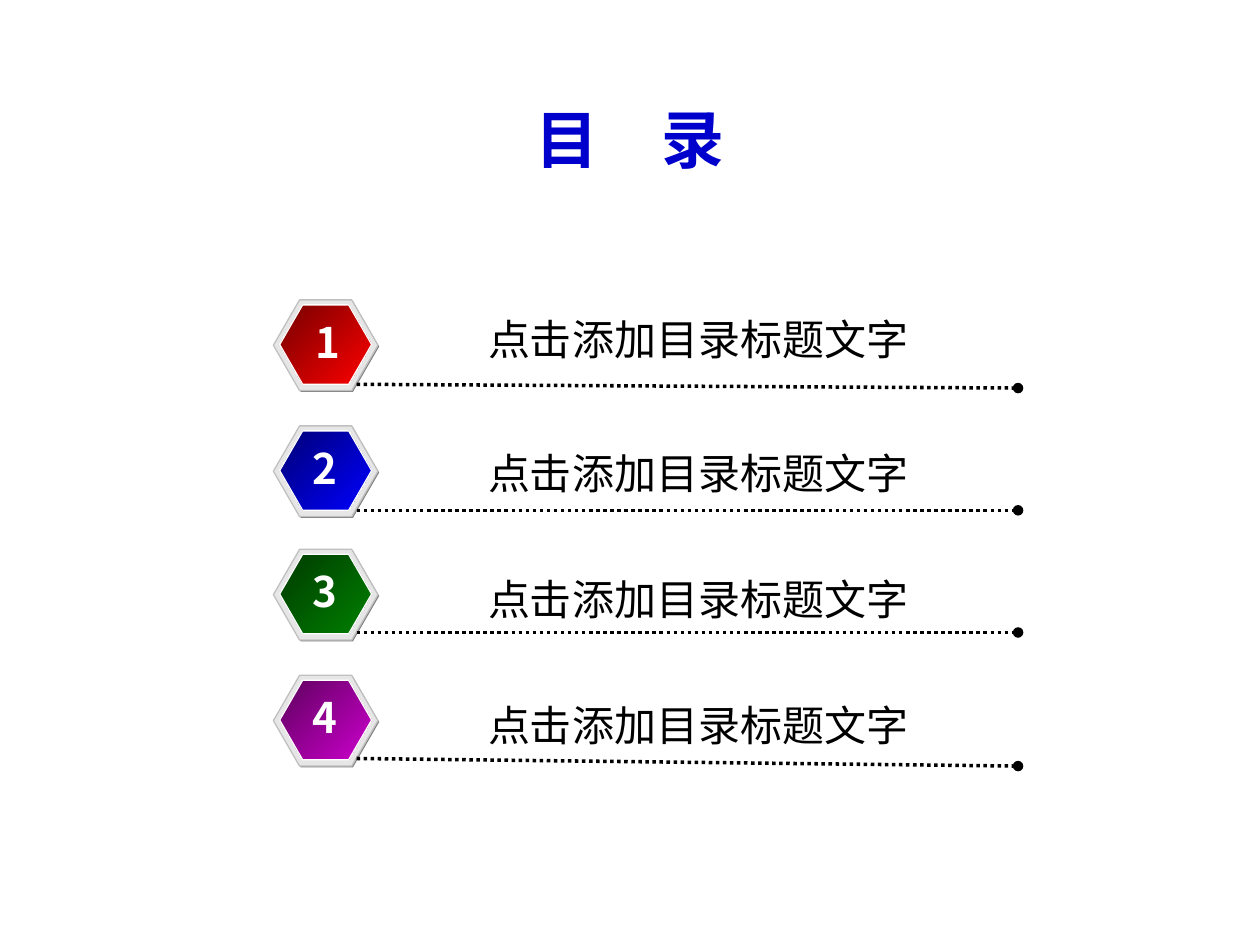
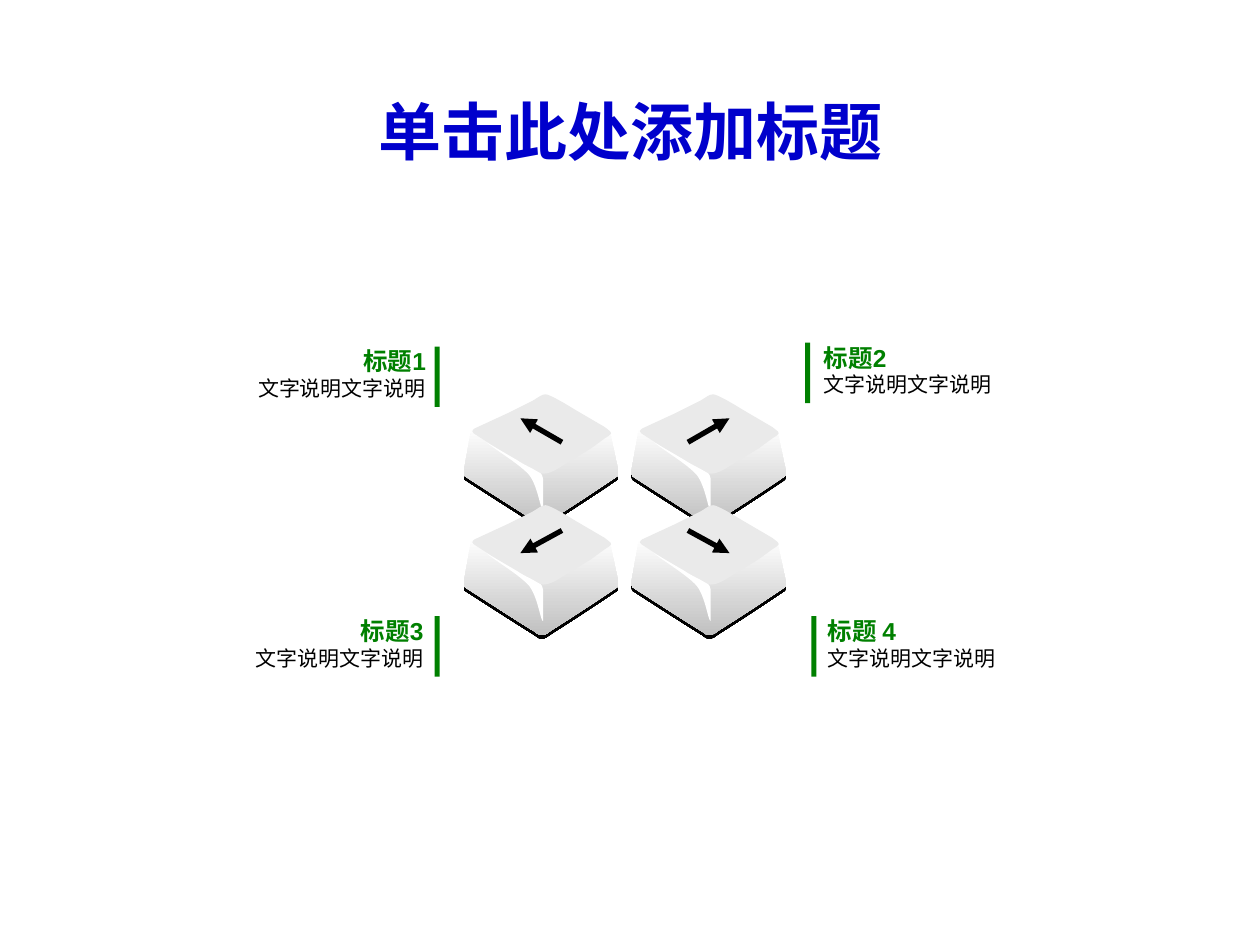
"""Builds a contents slide and a slide of four arrow keys."""
from dataclasses import dataclass
from itertools import product

from lxml.etree import SubElement
from pptx import Presentation
from pptx.dml.color import RGBColor
from pptx.enum.dml import MSO_LINE
from pptx.enum.shapes import MSO_CONNECTOR, MSO_SHAPE
from pptx.enum.text import MSO_ANCHOR, MSO_AUTO_SIZE, PP_ALIGN
from pptx.oxml.ns import qn
from pptx.util import Inches, Pt


@dataclass(frozen=True)
class Theme:
    latin: str = "Arial"
    hans: str = "Noto Sans CJK SC"
    title: str = "0000CC"
    ink: str = "000000"
    white: str = "FFFFFF"
    green: str = "008000"
    shade: str = "808080"
    rim: str = "E6E6E6"
    edge: str = "C0C0C0"
    cap: str = "EAEAEA"
    side: tuple = ("FDFDFD", "C0C0C0")
    head_size: int = 36
    item_size: int = 24
    label_size: int = 14
    note_size: int = 12


BODY = [(0.01, 0.65), (0.01, 0.65, 0.46, 0.94, 0.56, 1),
        (0.58, 1.01, 0.59, 1.03, 0.62, 1.03), (0.65, 1.03, 0.67, 1.01, 0.7, 0.99),
        (0.97, 0.82, 1.22, 0.65, 1.22, 0.65), (1.23, 0.62), (1.16, 0.29),
        (0.66, 0.61), (0.61, 0.6), (0.06, 0.28), (0, 0.62), (0.01, 0.65)]
CAP = [(0.65, 0), (0.62, 0, 0.6, 0.02, 0.55, 0.05), (0.35, 0.15), (0.09, 0.27),
       (0.09, 0.27, 0.05, 0.29, 0.08, 0.31), (0.31, 0.46, 0.38, 0.5, 0.47, 0.55),
       (0.56, 0.61, 0.58, 0.63, 0.63, 0.63), (0.65, 0.63, 0.67, 0.63, 0.73, 0.6),
       (1.01, 0.43), (1.12, 0.35), (1.15, 0.33, 1.17, 0.32, 1.17, 0.31),
       (1.17, 0.3, 1.17, 0.3, 1.12, 0.26), (0.88, 0.12), (0.8, 0.07, 0.68, 0, 0.65, 0)]
SHINE = [(0.18, 0.38), (0.42, 0.52), (0.48, 0.56, 0.55, 0.59, 0.58, 0.61),
         (0.61, 0.63, 0.62, 0.62, 0.63, 0.67), (0.63, 0.92),
         (0.61, 0.92, 0.59, 0.73, 0.52, 0.64), (0.44, 0.55, 0.25, 0.44, 0.18, 0.38)]


def rgb(code):
    return RGBColor.from_string(code)


def write(para, text, *, size, color, latin, hans, bold=False, align=PP_ALIGN.LEFT):
    para.alignment = align
    run = para.add_run()
    run.text = text
    font = run.font
    font.size, font.bold, font.name = Pt(size), bold, latin
    font.color.rgb = rgb(color)
    SubElement(run._r.get_or_add_rPr(), qn("a:ea")).set("typeface", hans)


def bend(shape, parts, left, top):
    nodes = list(shape._element.iter(qn("a:lnTo")))
    for node, part in zip(nodes, parts[1:]):
        if len(part) == 2:
            continue
        node.tag = qn("a:cubicBezTo")
        for spot in list(node):
            node.remove(spot)
        for x, y in zip(part[::2], part[1::2]):
            SubElement(node, qn("a:pt"), x=str(Inches(left + x) - shape.left),
                       y=str(Inches(top + y) - shape.top))


class Deck:
    def __init__(self, theme):
        self.theme = theme
        self.file = Presentation()
        self.file.slide_width, self.file.slide_height = Inches(10), Inches(7.5)
        self.slide = None

    def start(self, text, top):
        self.slide = self.file.slides.add_slide(self.file.slide_layouts[5])
        title = self.slide.shapes.title
        title.left, title.top = Inches(1.25), Inches(top)
        title.width, title.height = Inches(7.5), Inches(0.73)
        frame = title.text_frame
        frame.auto_size = MSO_AUTO_SIZE.NONE
        frame.vertical_anchor = MSO_ANCHOR.MIDDLE
        write(frame.paragraphs[0], text, size=self.theme.head_size,
              color=self.theme.title, latin=self.theme.latin,
              hans=self.theme.hans, bold=True, align=PP_ALIGN.CENTER)

    def paint(self, shape, fill, line=None, angle=0):
        shape.shadow.inherit = False
        if isinstance(fill, tuple):
            shape.fill.gradient()
            shape.fill.gradient_angle = 360 - angle
            for stop, color in zip(shape.fill.gradient_stops, fill):
                stop.color.rgb = rgb(color)
        else:
            shape.fill.solid()
            shape.fill.fore_color.rgb = rgb(fill)
        if line:
            shape.line.color.rgb = rgb(line)
            shape.line.width = Pt(0.75)
        else:
            shape.line.fill.background()
        return shape

    def shape(self, kind, box, fill, **look):
        shape = self.slide.shapes.add_shape(kind, *map(Inches, box))
        return self.paint(shape, fill, **look)

    def hexagon(self, box, fill, **look):
        shape = self.shape(MSO_SHAPE.HEXAGON, box, fill, **look)
        shape.adjustments[0], shape.adjustments[1] = 0.289, 1.155

    def outline(self, parts, left, top, fill, **look):
        spots = [(Inches(left + part[-2]), Inches(top + part[-1])) for part in parts]
        pen = self.slide.shapes.build_freeform(*spots[0])
        pen.add_line_segments(spots[1:], close=True)
        shape = pen.convert_to_shape()
        bend(shape, parts, left, top)
        return self.paint(shape, fill, **look)

    def line(self, start, end, width, tip, dash=None):
        link = self.slide.shapes.add_connector(
            MSO_CONNECTOR.STRAIGHT, *map(Inches, start + end))
        link.line.color.rgb = rgb(self.theme.ink)
        link.line.width = Pt(width)
        if dash:
            link.line.dash_style = dash
        SubElement(link.line._get_or_add_ln(), qn("a:tailEnd")).set("type", tip)
        SubElement(link._element.spPr, qn("a:effectLst"))

    def text(self, box, *lines, wrap=True, **style):
        frame = self.slide.shapes.add_textbox(*map(Inches, box)).text_frame
        frame.word_wrap = wrap
        frame.auto_size = MSO_AUTO_SIZE.SHAPE_TO_FIT_TEXT
        for index, (text, look) in enumerate(lines):
            para = frame.add_paragraph() if index else frame.paragraphs[0]
            write(para, text, hans=self.theme.hans, **style, **look)

    def entry(self, number, top, fill, left, item_top, start, end):
        theme = self.theme
        self.hexagon((2.18, top + 0.01, 0.83, 0.72), theme.shade)
        self.hexagon((2.17, top, 0.83, 0.72), theme.rim, line=theme.edge)
        self.hexagon((2.22, top + 0.04, 0.73, 0.63), fill, line=theme.white, angle=45)
        self.line((2.83, start), (8.08, end), 2, "oval", MSO_LINE.ROUND_DOT)
        style = dict(size=theme.item_size, latin=theme.hans, align=PP_ALIGN.CENTER)
        self.text((3.08, item_top, 4.92, 0.5),
                  ("点击添加目录标题文字", dict(color=theme.ink)), **style)
        self.text((left, top + 0.08, 0.4, 0.5),
                  (str(number), dict(color=theme.white, bold=True)), wrap=False, **style)

    def key(self, row, col):
        theme = self.theme
        left, top = 3.68 + 1.33 * col, 3.13 + 0.88 * row
        body = self.outline(BODY, left, top, theme.side, angle=90)
        glow = SubElement(body._element.spPr.find(qn("a:effectLst")), qn("a:outerShdw"),
                          blurRad="0", dist=str(Pt(2)), dir="5400000",
                          algn="ctr", rotWithShape="0")
        SubElement(glow, qn("a:srgbClr"), val=theme.ink)
        self.outline(CAP, left, top, theme.cap)
        self.outline(SHINE, left, top, theme.white)
        near, far = (0.45, 0.78) if col else (0.78, 0.45)
        tail, tip = (0.2, 0.38) if row else (0.38, 0.19)
        self.line((left + near, top + tail), (left + far, top + tip), 3, "triangle")

    def label(self, text, left, top, bar, align):
        theme = self.theme
        self.text((left, top, 2.13, 0.54),
                  (text, dict(size=theme.label_size, color=theme.green, bold=True)),
                  ("文字说明文字说明", dict(size=theme.note_size, color=theme.ink)),
                  latin=theme.latin, align=align)
        self.shape(MSO_SHAPE.RECTANGLE, (bar, top + 0.05, 0.04, 0.48), theme.green)


def main():
    deck = Deck(Theme())
    deck.start("目　录", 0.73)
    rows = [(2.38, ("760000", "FF0000"), 2.4, 2.44, 3.05, 3.08),
            (3.38, ("000076", "0000FF"), 2.38, 3.5, 4.05, 4.05),
            (4.36, ("003B00", "008000"), 2.38, 4.5, 5.02, 5.02),
            (5.36, ("5E005E", "CC00CC"), 2.38, 5.5, 6.02, 6.08)]
    for number, row in enumerate(rows, 1):
        deck.entry(number, *row)

    deck.start("单击此处添加标题", 0.67)
    for row, col in product(range(2), repeat=2):
        deck.key(row, col)
    for label in [("标题1", 1.35, 2.7, 3.45, PP_ALIGN.RIGHT),
                  ("标题2", 6.44, 2.67, 6.39, PP_ALIGN.LEFT),
                  ("标题3", 1.33, 4.84, 3.45, PP_ALIGN.RIGHT),
                  ("标题 4", 6.47, 4.84, 6.44, PP_ALIGN.LEFT)]:
        deck.label(*label)
    deck.file.save("out.pptx")


if __name__ == "__main__":
    main()
